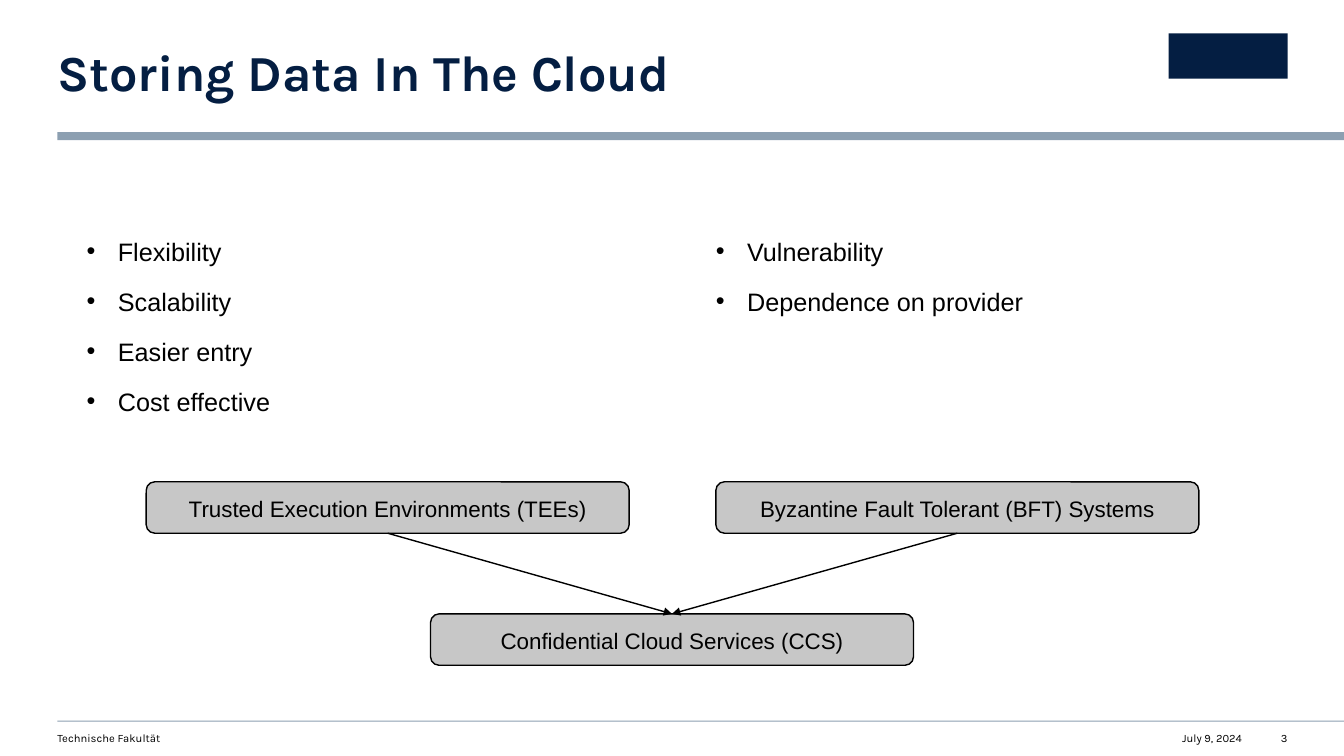
"""Build the slide on storing data in the cloud."""
from dataclasses import dataclass

from lxml import etree
from pptx import Presentation
from pptx import util as u
from pptx.dml.color import RGBColor
from pptx.enum import shapes, text
from pptx.oxml import ns

PX = 9144
LEFT, RIGHT = text.PP_ALIGN.LEFT, text.PP_ALIGN.RIGHT


@dataclass(frozen=True)
class Theme:
    navy: str = "041E42"
    rule: str = "8C9FB1"
    gray: str = "C7C7C7"
    ink: str = "000000"
    head: str = "Karla"
    body: str = "Arial"
    title: int = 36
    list: int = 18
    node: int = 16
    foot: int = 8


class Deck:
    def __init__(self, theme, wide, high):
        self.theme = theme
        self.file = Presentation()
        self.file.slide_width, self.file.slide_height = wide * PX, high * PX
        self.slide = self.file.slides.add_slide(self.file.slide_layouts[6])

    def run(self, para, words, size, font, color, bold=False):
        run = para.add_run()
        run.text = words
        run.font.size = u.Pt(size)
        run.font.name = font
        run.font.bold = bold
        run.font.color.rgb = RGBColor.from_string(color)

    def frame(self, box, inset=0, wrap=True):
        frame = box.text_frame
        frame.margin_left = frame.margin_right = inset * PX
        frame.margin_top = frame.margin_bottom = inset * PX
        frame.word_wrap = wrap
        return frame

    def space(self, para):
        para.line_spacing = 1.1
        para.space_after = u.Pt(12)

    def box(self, kind, area, fill):
        box = self.slide.shapes.add_shape(kind, *(n * PX for n in area))
        box.shadow.inherit = False
        box.fill.solid()
        box.fill.fore_color.rgb = RGBColor.from_string(fill)
        box.line.fill.background()
        return box

    def bar(self, area, fill):
        self.box(shapes.MSO_SHAPE.RECTANGLE, area, fill)

    def label(self, area, wrap=True):
        box = self.slide.shapes.add_textbox(*(n * PX for n in area))
        return self.frame(box, wrap=wrap)

    def title(self, area, words):
        para = self.label(area).paragraphs[0]
        para.line_spacing = 0.9
        look = self.theme
        self.run(para, words, look.title, look.head, look.navy, True)

    def foot(self, area, words, align, wrap=False):
        para = self.label(area, wrap).paragraphs[0]
        para.alignment = align
        look = self.theme
        self.run(para, words, look.foot, look.head, look.ink)

    def list(self, area, items):
        frame = self.label(area)
        look = self.theme
        for i, item in enumerate(items):
            para = frame.add_paragraph() if i else frame.paragraphs[0]
            props = para._p.get_or_add_pPr()
            props.set("marL", str(31 * PX))
            props.set("indent", str(-31 * PX))
            etree.SubElement(props, ns.qn("a:buFont"), typeface=look.body)
            etree.SubElement(props, ns.qn("a:buChar"), char="•")
            self.space(para)
            self.run(para, item, look.list, look.body, look.ink)

    def node(self, left, top, words):
        look = self.theme
        area = left, top, 479, 51
        box = self.box(shapes.MSO_SHAPE.ROUNDED_RECTANGLE, area, look.gray)
        box.line.color.rgb = RGBColor.from_string(look.ink)
        box.line.width = u.Pt(1)
        frame = self.frame(box, 20)
        frame.vertical_anchor = text.MSO_ANCHOR.MIDDLE
        para = frame.paragraphs[0]
        para.alignment = text.PP_ALIGN.CENTER
        self.space(para)
        self.run(para, words, look.node, look.body, look.ink)
        return box

    def arrow(self, start, end):
        line = self.slide.shapes.add_connector(
            shapes.MSO_CONNECTOR.STRAIGHT, 0, 0, 0, 0)
        line.begin_connect(start, 2)
        line.end_connect(end, 0)
        line.line.color.rgb = RGBColor.from_string(self.theme.ink)
        line.line.width = u.Pt(1)
        props = line._element.spPr
        edge = props.find(ns.qn("a:ln"))
        etree.SubElement(edge, ns.qn("a:tailEnd"), type="triangle")
        etree.SubElement(props, ns.qn("a:effectLst"))


def main():
    look = Theme()
    deck = Deck(look, 1333, 750)
    for top, high in ((131, 8), (715, 1)):
        deck.bar((57, top, 1276, high), look.rule)
    deck.bar((1159, 33, 118, 45), look.navy)

    deck.title((57, 48, 749, 55), "Storing Data In The Cloud")
    deck.foot((57, 726, 598, 13), "Technische Fakultät", LEFT, True)
    deck.foot((1158, 726, 74, 13), "July 9, 2024", RIGHT)
    deck.foot((1270, 726, 7, 13), "3", RIGHT)

    deck.list((86, 231, 250, 181), (
        "Flexibility", "Scalability", "Easier entry", "Cost effective"))
    deck.list((710, 231, 308, 81), ("Vulnerability", "Dependence on provider"))

    parts = [
        deck.node(145, 478, "Trusted Execution Environments (TEEs)"),
        deck.node(710, 478, "Byzantine Fault Tolerant (BFT) Systems"),
    ]
    goal = deck.node(427, 609, "Confidential Cloud Services (CCS)")
    for part in parts:
        deck.arrow(part, goal)
    deck.file.save("out.pptx")


if __name__ == "__main__":
    main()
